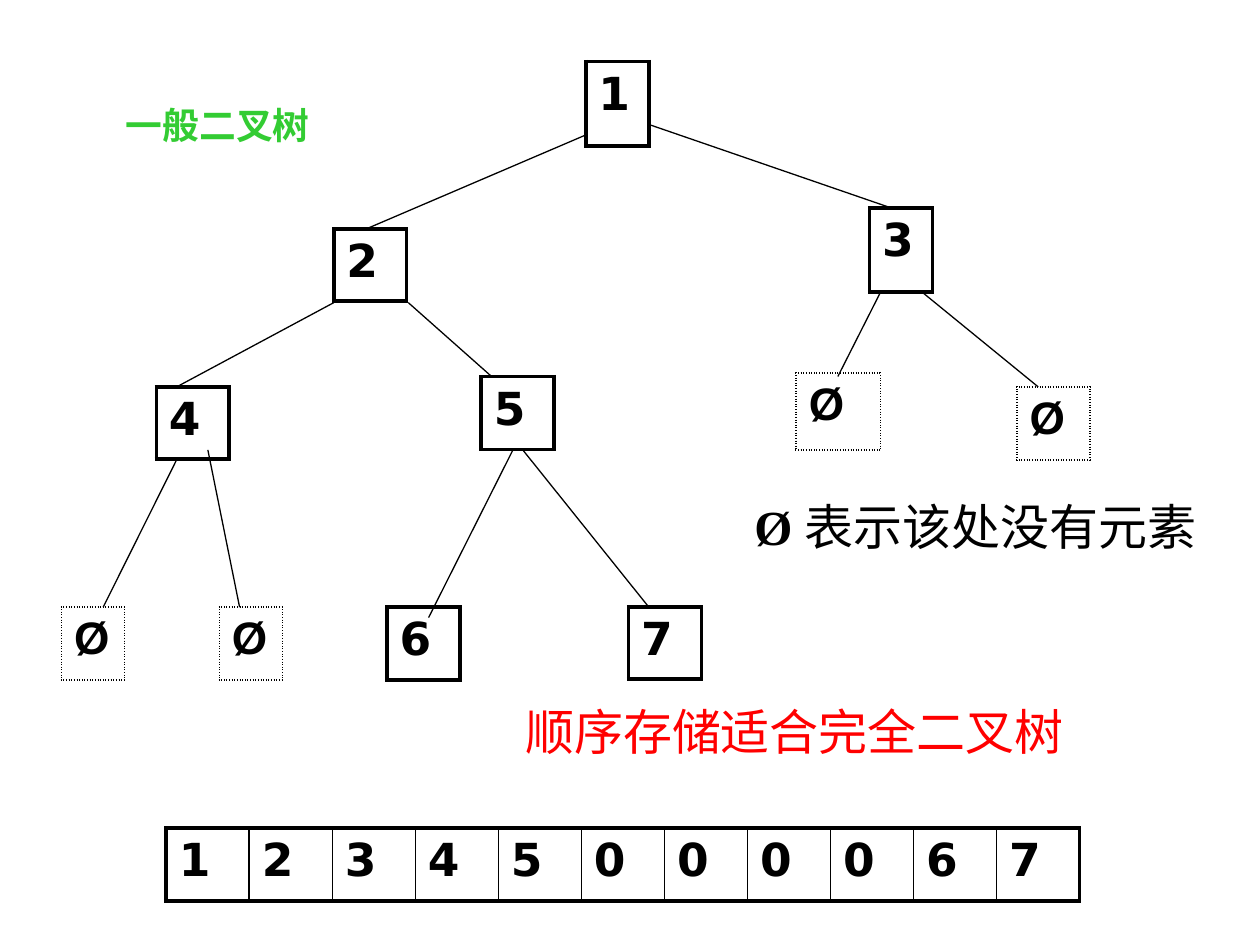
from lxml import etree
from pptx import Presentation
from pptx.dml.color import RGBColor
from pptx.enum.shapes import MSO_CONNECTOR
from pptx.enum.text import MSO_ANCHOR
from pptx.oxml.ns import qn
from pptx.util import Cm, Pt

STRAIGHT = MSO_CONNECTOR.STRAIGHT
TOP, MIDDLE = MSO_ANCHOR.TOP, MSO_ANCHOR.MIDDLE

COLORS = {"ink": "000000", "green": "33CC33", "red": "FF0000"}
NUMBER = {"name": "DejaVu Sans", "size": Pt(26), "bold": True}
EMPTY = {"name": "Arial", "size": Pt(26), "bold": True}
NOTE = {"name": "Times New Roman", "size": Pt(28), "bold": False}
HEADING = {"name": "DejaVu Sans", "size": Pt(21), "bold": True}

# Tree nodes: label, left, top, width, height in cm
NODES = [
    ("1", 11.81, 1.24, 1.27, 1.7),
    ("2", 6.73, 4.62, 1.47, 1.45),
    ("3", 17.53, 4.19, 1.27, 1.7),
    ("4", 3.15, 7.8, 1.47, 1.45),
    ("5", 9.7, 7.59, 1.47, 1.47),
    ("6", 7.8, 12.24, 1.47, 1.47),
    ("7", 12.67, 12.24, 1.47, 1.45),
    ("Ø", 16.05, 7.52, 1.7, 1.55),
    ("Ø", 20.5, 7.8, 1.47, 1.47),
    ("Ø", 1.24, 12.24, 1.27, 1.47),
    ("Ø", 4.42, 12.24, 1.27, 1.47),
]

# Tree edges: start x, start y, end x, end y in cm
EDGES = [
    (11.81, 2.72, 7.37, 4.62),
    (13.08, 2.51, 17.96, 4.19),
    (6.73, 6.1, 3.56, 7.8),
    (8.23, 6.1, 9.91, 7.59),
    (17.75, 5.89, 16.89, 7.59),
    (18.59, 5.89, 20.93, 7.8),
    (3.56, 9.27, 2.08, 12.24),
    (4.19, 9.07, 4.83, 12.24),
    (10.34, 9.07, 8.64, 12.45),
    (10.54, 9.07, 13.08, 12.24),
]

ARRAY_VALUES = list("12345000067")
ARRAY_BOX = (3.35, 16.69, 18.42, 1.47)

# Texts: box in cm, anchor, colour, runs with their format
TEXTS = [
    ((14.96, 9.88, 9.98, 1.45), TOP, "ink",
     [("Ø ", NOTE | {"bold": True}), ("表示该处没有元素", NOTE)]),
    ((2.29, 1.88, 6.99, 1.27), MIDDLE, "green", [("一般二叉树", HEADING)]),
    ((10.34, 14.02, 11.43, 1.45), TOP, "red", [("顺序存储适合完全二叉树", NOTE)]),
]


def add_run(paragraph, text, style, color):
    run = paragraph.add_run()
    run.text = text
    for name, value in style.items():
        setattr(run.font, name, value)
    run.font.color.rgb = RGBColor.from_string(COLORS[color])


def add_border(cell, side, width, dash):
    line = etree.SubElement(cell._tc.get_or_add_tcPr(), qn(f"a:ln{side}"), w=str(Pt(width)))
    fill = etree.SubElement(line, qn("a:solidFill"))
    etree.SubElement(fill, qn("a:srgbClr"), val=COLORS["ink"])
    etree.SubElement(line, qn("a:prstDash"), val=dash)


def add_boxes(slide, labels, box, style, outer, inner=1, dash="solid"):
    """Add a one-row table with an outer frame and inner dividers."""
    table = slide.shapes.add_table(1, len(labels), *map(Cm, box)).table
    table.first_row = table.horz_banding = False
    last = len(labels) - 1
    for index, label in enumerate(labels):
        cell = table.cell(0, index)
        widths = {
            "L": outer if index == 0 else inner,
            "R": outer if index == last else inner,
            "T": outer,
            "B": outer,
        }
        for side, width in widths.items():
            add_border(cell, side, width, dash)
        cell.fill.background()
        add_run(cell.text_frame.paragraphs[0], label, style, "ink")


def add_edge(slide, points):
    edge = slide.shapes.add_connector(STRAIGHT, *map(Cm, points))
    edge.line.color.rgb = RGBColor.from_string(COLORS["ink"])
    edge.line.width = Pt(0.75)
    etree.SubElement(edge._element.spPr, qn("a:effectLst"))


def add_text(slide, box, anchor, color, runs):
    frame = slide.shapes.add_textbox(*map(Cm, box)).text_frame
    frame.word_wrap = True
    frame.vertical_anchor = anchor
    for text, style in runs:
        add_run(frame.paragraphs[0], text, style, color)


def main():
    presentation = Presentation()
    presentation.slide_width, presentation.slide_height = Cm(25.4), Cm(19.05)
    slide = presentation.slides.add_slide(presentation.slide_layouts[6])

    # Binary tree
    for label, *box in NODES:
        if label == "Ø":
            add_boxes(slide, [label], box, EMPTY, outer=1, dash="sysDot")
        else:
            add_boxes(slide, [label], box, NUMBER, outer=2.25)
    for points in EDGES:
        add_edge(slide, points)

    # Sequential storage array
    add_boxes(slide, ARRAY_VALUES, ARRAY_BOX, NUMBER, outer=2.25)

    # Heading and notes
    for text in TEXTS:
        add_text(slide, *text)

    presentation.save("out.pptx")


if __name__ == "__main__":
    main()
